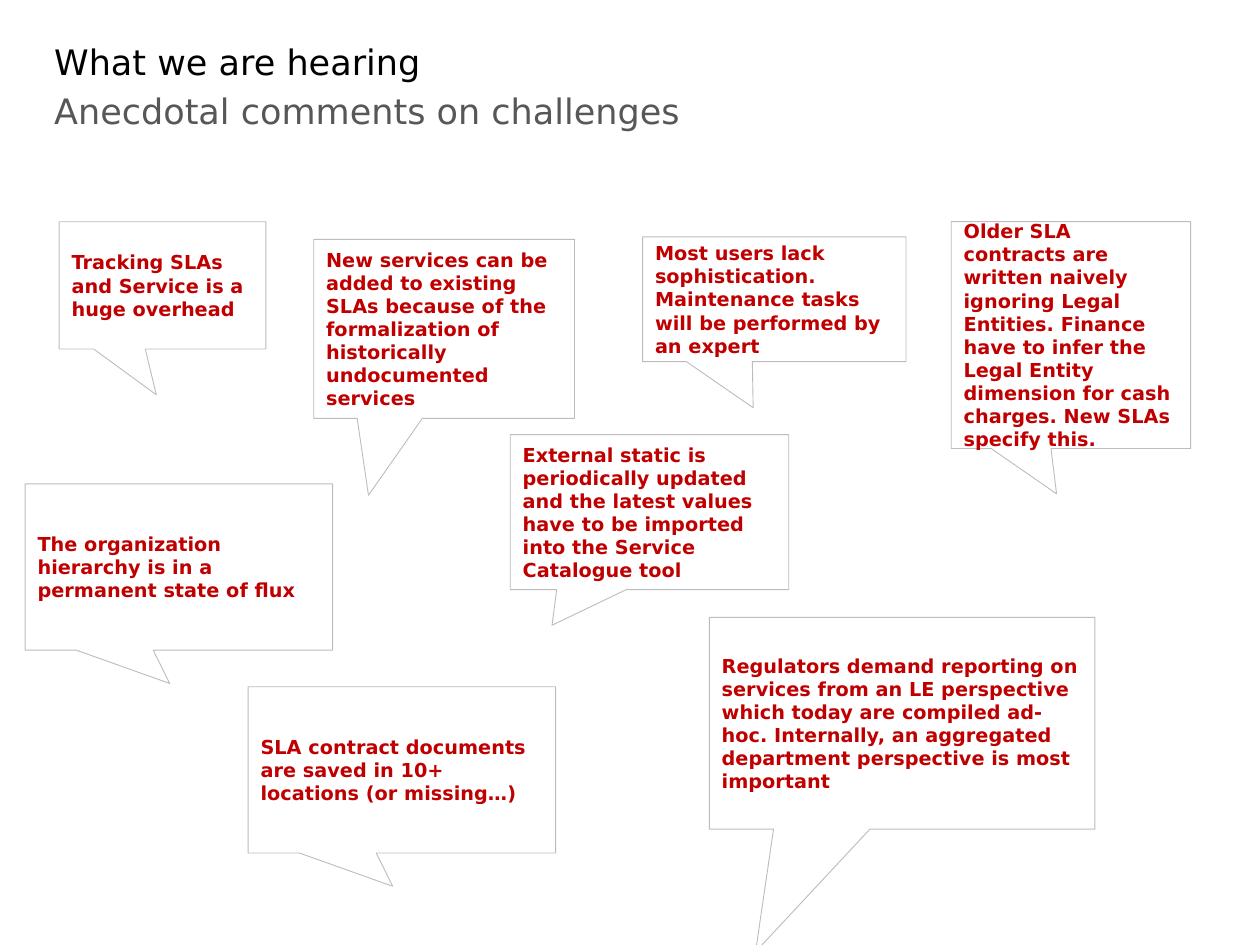
from pptx import Presentation
from pptx import util as u
from pptx.dml.color import RGBColor
from pptx.enum import shapes, text

COLORS = {
    "title": "000000",
    "subtitle": "575757",
    "comment": "C00000",
    "bubble": "FFFFFF",
    "outline": "BBBCBC",
}
FONT = "DejaVu Sans"

COMMENTS = [
    ("Tracking SLAs and Service is a huge overhead",
     (0.47, 1.76, 1.64, 1.01), (-0.03, 0.86)),
    ("Most users lack sophistication. Maintenance tasks will be performed by an expert",
     (5.1, 1.88, 2.09, 0.99), (-0.08, 0.87)),
    ("New services can be added to existing SLAs because of the formalization of "
     "historically undocumented services",
     (2.49, 1.9, 2.07, 1.42), (-0.29, 0.93)),
    ("The organization hierarchy is in a permanent state of flux",
     (0.2, 3.84, 2.44, 1.32), (-0.03, 0.7)),
    ("Regulators demand reporting on services from an LE perspective which today are "
     "compiled ad-hoc. Internally, an aggregated department perspective is most important",
     (5.63, 4.9, 3.06, 1.68), (-0.38, 1.08)),
    ("Older SLA contracts are written naively ignoring Legal Entities. Finance have to "
     "infer the Legal Entity dimension for cash charges. New SLAs specify this.",
     (7.55, 1.76, 1.9, 1.8), (-0.06, 0.7)),
    ("External static is periodically updated and the latest values have to be imported "
     "into the Service Catalogue tool",
     (4.05, 3.45, 2.21, 1.23), (-0.35, 0.73)),
    ("SLA contract documents are saved in 10+ locations (or missing…)",
     (1.97, 5.45, 2.44, 1.32), (-0.03, 0.7)),
]


def color(name):
    return RGBColor.from_string(COLORS[name])


def write(frame, wording, size, color_name, margin, anchor, bold=False):
    frame.word_wrap = True
    frame.auto_size = text.MSO_AUTO_SIZE.NONE
    frame.vertical_anchor = anchor
    frame.margin_left = frame.margin_right = u.Inches(margin)
    frame.margin_top = frame.margin_bottom = u.Inches(margin)
    frame.text = wording
    paragraph = frame.paragraphs[0]
    paragraph.alignment = text.PP_ALIGN.LEFT
    font = paragraph.runs[0].font
    font.name = FONT
    font.size = u.Pt(size)
    font.bold = bold
    font.color.rgb = color(color_name)


def add_heading(slide, wording, top, height, color_name):
    heading = slide.shapes.add_textbox(
        u.Inches(0.43), u.Inches(top), u.Inches(9.13), u.Inches(height))
    write(heading.text_frame, wording, 20, color_name, 0, text.MSO_ANCHOR.TOP)


def add_comment(slide, wording, box, tail):
    bubble = slide.shapes.add_shape(
        shapes.MSO_SHAPE.RECTANGULAR_CALLOUT, *map(u.Inches, box))
    bubble.adjustments[0], bubble.adjustments[1] = tail
    bubble.shadow.inherit = False
    bubble.fill.solid()
    bubble.fill.fore_color.rgb = color("bubble")
    bubble.line.color.rgb = color("outline")
    bubble.line.width = u.Pt(0.5)
    write(bubble.text_frame, wording, 11, "comment", 0.1,
          text.MSO_ANCHOR.MIDDLE, bold=True)


def main():
    deck = Presentation()
    deck.slide_width = u.Inches(10)
    deck.slide_height = u.Inches(7.5)
    slide = deck.slides.add_slide(deck.slide_layouts[6])
    add_heading(slide, "Anecdotal comments on challenges", 0.71, 0.83, "subtitle")
    add_heading(slide, "What we are hearing", 0.32, 0.51, "title")
    for wording, box, tail in COMMENTS:
        add_comment(slide, wording, box, tail)
    deck.save("out.pptx")


if __name__ == "__main__":
    main()
